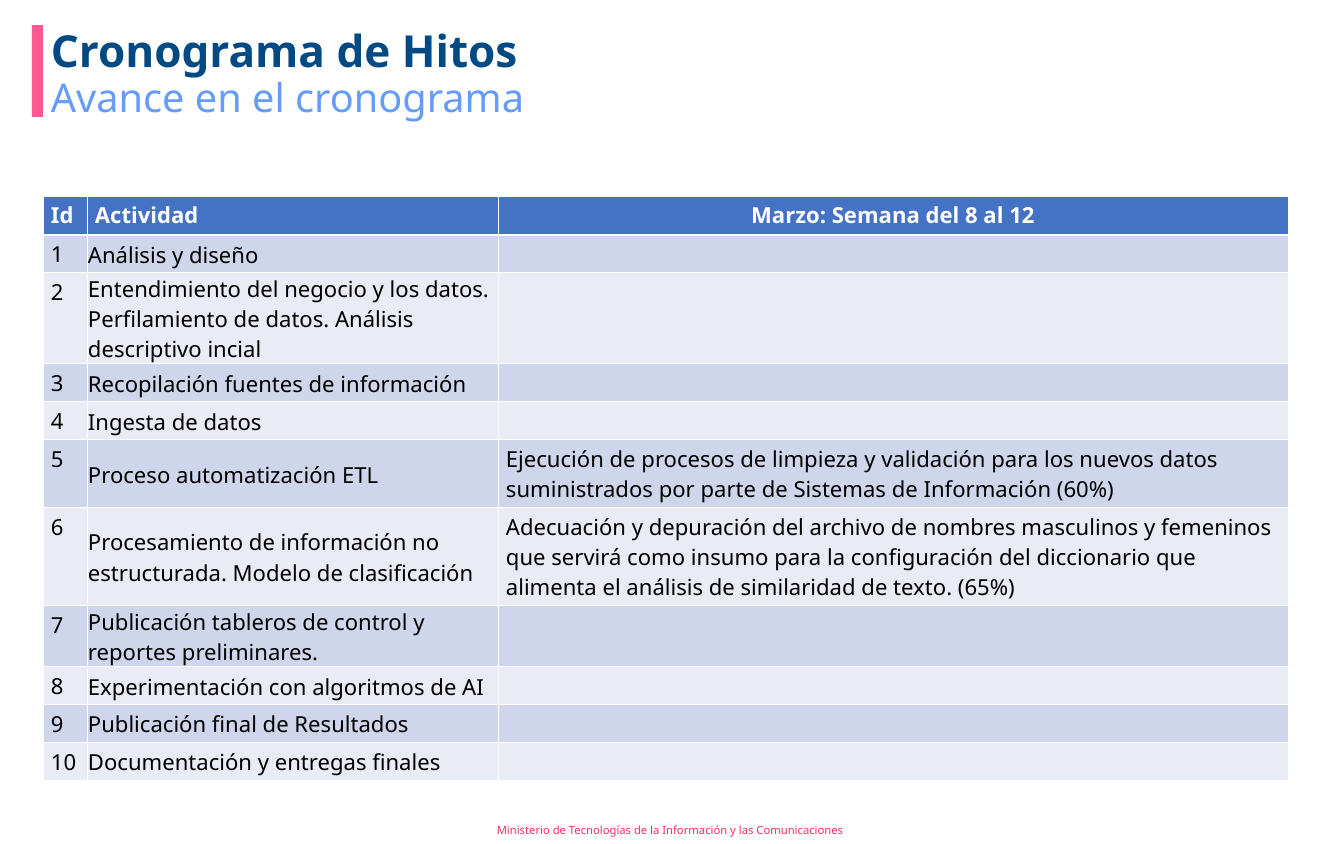
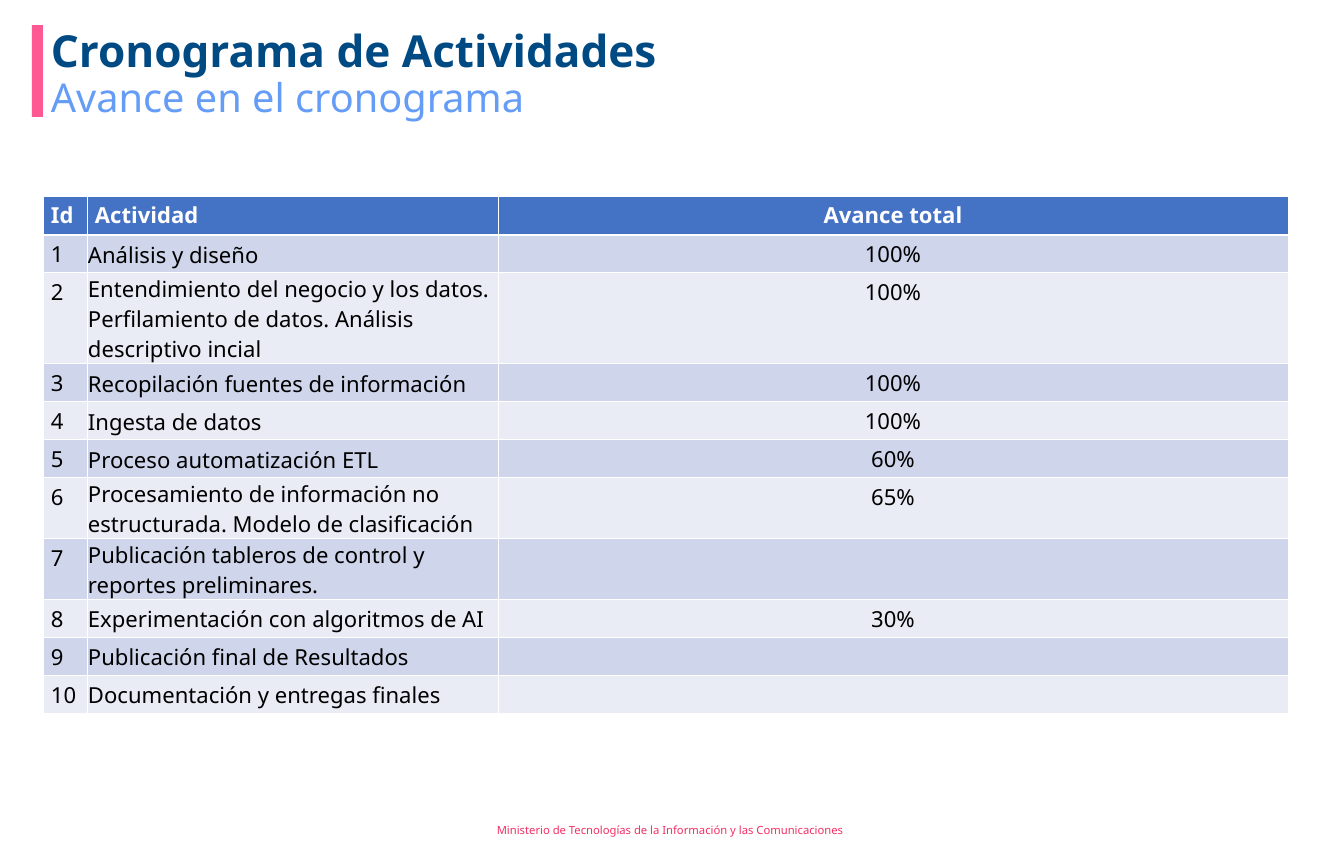
import pptx
import pptx.dml.color
import pptx.enum.shapes
import pptx.enum.text
import pptx.oxml
import pptx.oxml.ns
import pptx.util

ACTIVITIES = [
    "Análisis y diseño",
    "Entendimiento del negocio y los datos. Perfilamiento de datos. "
    "Análisis descriptivo incial",
    "Recopilación fuentes de información",
    "Ingesta de datos",
    "Proceso automatización ETL",
    "Procesamiento de información no estructurada. Modelo de clasificación",
    "Publicación tableros de control y reportes preliminares.",
    "Experimentación con algoritmos de AI",
    "Publicación final de Resultados",
    "Documentación y entregas finales",
]

# Third column by activity number
WEEK_NOTES = {
    5: "Ejecución de procesos de limpieza y validación para los nuevos datos "
       "suministrados por parte de Sistemas de Información (60%)",
    6: "Adecuación y depuración del archivo de nombres masculinos y femeninos "
       "que servirá como insumo para la configuración del diccionario que "
       "alimenta el análisis de similaridad de texto. (65%)",
}
TOTAL_PROGRESS = {1: "100%", 2: "100%", 3: "100%", 4: "100%",
                  5: "60%", 6: "65%", 8: "30%"}

# Wrapped lines by activity number, where there is more than one
ACTIVITY_LINES = {2: 3, 6: 2, 7: 2}
NOTE_LINES = {5: 2, 6: 3}

ALIGN = pptx.enum.text.PP_ALIGN
ANCHOR = pptx.enum.text.MSO_ANCHOR


class Report:
    """Style of the deck and the page being filled."""

    SCALE = 914400 / 79.4
    FONT = "Noto Sans"
    LINE_HEIGHT = 30
    COLORS = {
        "accent": "FF5993", "footer": "F42F63", "title": "004A84",
        "subtitle": "649CF6", "header": "4472C4", "odd": "CFD5EA",
        "even": "E9EBF5", "white": "FFFFFF", "text": "000000",
    }

    def __init__(self):
        self.deck = pptx.Presentation()
        self.deck.slide_width = self.px(1344)
        self.deck.slide_height = self.px(844)
        self.page = None

    def px(self, length):
        return pptx.util.Emu(round(length * self.SCALE))

    def color(self, name):
        return pptx.dml.color.RGBColor.from_string(self.COLORS[name])

    def format_text(self, frame, size, color, bold=False):
        for para in frame.paragraphs:
            for span in para.runs:
                span.font.name = self.FONT
                span.font.size = pptx.util.Pt(size)
                span.font.bold = bold
                span.font.color.rgb = self.color(color)

    def bar(self, *bounds):
        box = self.page.shapes.add_shape(
            pptx.enum.shapes.MSO_SHAPE.RECTANGLE, *map(self.px, bounds))
        box.shadow.inherit = False
        box.fill.solid()
        box.fill.fore_color.rgb = self.color("accent")
        box.line.fill.background()

    def text(self, bounds, words, size, color, bold=False,
             spacing=1.0, anchor=ANCHOR.TOP):
        box = self.page.shapes.add_textbox(*map(self.px, bounds))
        frame = box.text_frame
        frame.word_wrap = True
        frame.vertical_anchor = anchor
        frame.text = words
        frame.paragraphs[0].line_spacing = spacing
        self.format_text(frame, size, color, bold)

    def new_page(self, title, subtitle):
        self.page = self.deck.slides.add_slide(self.deck.slide_layouts[6])
        self.bar(32, 25, 11, 92)
        self.text((489, 816, 365, 28),
                  "Ministerio de Tecnologías de la Información y las "
                  "Comunicaciones", 10.2, "footer", anchor=ANCHOR.MIDDLE)
        self.text((43, 26, 1270, 44), title, 40, "title", True, 0.9)
        self.text((43, 74, 1039, 60), subtitle, 36, "subtitle", False, 0.9)

    def borders(self, cell, top, bottom):
        widths = {"L": 1, "R": 1, "T": top, "B": bottom}
        properties = cell._tc.get_or_add_tcPr()
        for index, (side, width) in enumerate(widths.items()):
            line = pptx.oxml.parse_xml(
                f'<a:ln{side} {pptx.oxml.ns.nsdecls("a")} '
                f'w="{pptx.util.Pt(width)}"><a:solidFill>'
                f'<a:srgbClr val="{self.COLORS["white"]}"/>'
                f'</a:solidFill></a:ln{side}>')
            properties.insert(index, line)

    def cell(self, cell, row, column, words, align):
        header = row == 0
        fill = "header" if header else ("odd" if row % 2 else "even")
        cell.fill.solid()
        cell.fill.fore_color.rgb = self.color(fill)
        self.borders(cell, 3 if row == 1 else 1, 3 if header else 1)
        cell.margin_left = cell.margin_right = self.px(8)
        cell.margin_top = cell.margin_bottom = self.px(4)
        if column == 1 and not header:
            cell.vertical_anchor = ANCHOR.MIDDLE
            cell.margin_left = cell.margin_right = self.px(1)
            cell.margin_top, cell.margin_bottom = self.px(1), 0
        if words:
            cell.text_frame.text = words
            cell.text_frame.paragraphs[0].alignment = align
            self.format_text(cell.text_frame, 20,
                             "white" if header else "text", header)

    def row_height(self, row, detail_lines):
        if row == 0:
            return 39
        return max(self.LINE_HEIGHT * ACTIVITY_LINES.get(row, 1) + 1,
                   self.LINE_HEIGHT * detail_lines.get(row, 1) + 8)

    def schedule(self, heading, details, detail_lines, detail_align):
        rows = [("Id", "Actividad", heading)]
        for number, activity in enumerate(ACTIVITIES, 1):
            rows.append((str(number), activity, details.get(number, "")))
        widths = (44, 411, 790)
        heights = [self.row_height(row, detail_lines)
                   for row in range(len(rows))]
        table = self.page.shapes.add_table(
            len(rows), len(widths), self.px(43), self.px(196),
            self.px(sum(widths)), self.px(sum(heights))).table
        for column, width in enumerate(widths):
            table.columns[column].width = self.px(width)
        for row, entries in enumerate(rows):
            table.rows[row].height = self.px(heights[row])
            for column, words in enumerate(entries):
                align = ALIGN.LEFT
                if column == 2:
                    align = detail_align if row else ALIGN.CENTER
                self.cell(table.cell(row, column), row, column, words, align)


def main():
    report = Report()

    # Milestones of the week
    report.new_page("Cronograma de Hitos", "Avance en el cronograma")
    report.schedule("Marzo: Semana del 8 al 12", WEEK_NOTES, NOTE_LINES,
                    ALIGN.LEFT)

    # Total progress by activity
    report.new_page("Cronograma de Actividades", "Avance en el cronograma")
    report.schedule("Avance total", TOTAL_PROGRESS, {}, ALIGN.CENTER)

    report.deck.save("out.pptx")


if __name__ == "__main__":
    main()
